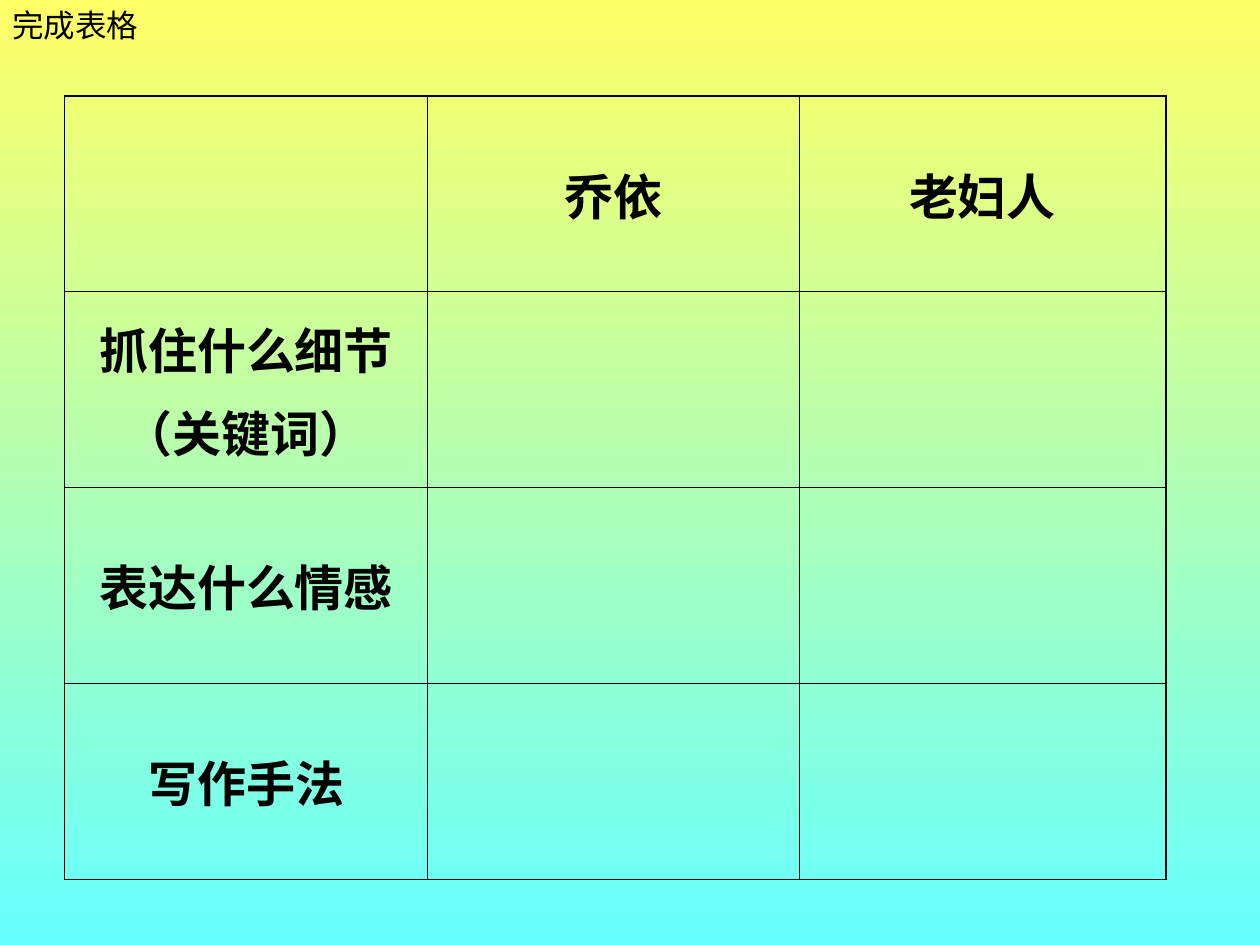
from dataclasses import dataclass

from lxml.etree import SubElement
from pptx import Presentation
from pptx.dml.color import RGBColor
from pptx.enum.text import MSO_ANCHOR, MSO_AUTO_SIZE, PP_ALIGN
from pptx.oxml.ns import qn
from pptx.table import _Cell
from pptx.text.text import TextFrame
from pptx.util import Cm, Pt

BLACK = RGBColor(0x00, 0x00, 0x00)
YELLOW = RGBColor(0xFF, 0xFF, 0x66)
CYAN = RGBColor(0x66, 0xFF, 0xFF)
FONT = "Arial"
OUTER_LINE, INNER_LINE = Pt(1.08), Pt(0.45)
COLUMN_WIDTHS = (Cm(7.32), Cm(7.49), Cm(7.39))
ROW_HEIGHT = Cm(3.95)
ROW_COUNT = 4


@dataclass(frozen=True)
class Label:
    row: int
    column: int
    text: str


LABELS = (
    Label(0, 1, "乔依"),
    Label(0, 2, "老妇人"),
    Label(1, 0, "抓住什么细节\n（关键词）"),
    Label(2, 0, "表达什么情感"),
    Label(3, 0, "写作手法"),
)


def write_text(frame: TextFrame, text: str, *, size: float, bold: bool = False,
               align: PP_ALIGN = PP_ALIGN.LEFT, gap: float = 0) -> None:
    """Write one paragraph per line, with a gap between paragraphs."""
    for index, line in enumerate(text.split("\n")):
        para = frame.add_paragraph() if index else frame.paragraphs[0]
        para.alignment = align
        if index:
            para.space_before = Pt(gap)
        span = para.add_run()
        span.text = line
        span.font.name = FONT
        span.font.size = Pt(size)
        span.font.bold = bold
        span.font.color.rgb = BLACK


def draw_borders(cell: _Cell, row: int, column: int) -> None:
    """Give the cell thin inner lines and thicker lines on the table's edge."""
    on_edge = {
        "a:lnL": column == 0,
        "a:lnR": column == len(COLUMN_WIDTHS) - 1,
        "a:lnT": row == 0,
        "a:lnB": row == ROW_COUNT - 1,
    }
    properties = cell._tc.get_or_add_tcPr()
    for tag, outer in on_edge.items():
        width = OUTER_LINE if outer else INNER_LINE
        line = SubElement(properties, qn(tag), w=str(int(width)))
        fill = SubElement(line, qn("a:solidFill"))
        SubElement(fill, qn("a:srgbClr"), val=str(BLACK))


def main() -> None:
    deck = Presentation()
    deck.slide_width, deck.slide_height = Cm(25.4), Cm(19.05)
    page = deck.slides.add_slide(deck.slide_layouts[6])

    # Background: yellow at the top to cyan at the bottom
    background = page.background.fill
    background.gradient()
    background.gradient_angle = 270
    for stop, color in zip(background.gradient_stops, (YELLOW, CYAN)):
        stop.color.rgb = color

    # Heading
    box = page.shapes.add_textbox(Cm(0), Cm(0), Cm(3.05), Cm(1.02))
    box.text_frame.word_wrap = False
    box.text_frame.auto_size = MSO_AUTO_SIZE.SHAPE_TO_FIT_TEXT
    write_text(box.text_frame, "完成表格", size=18)

    # Table grid
    table = page.shapes.add_table(
        ROW_COUNT, len(COLUMN_WIDTHS), Cm(1.3), Cm(1.93),
        sum(COLUMN_WIDTHS), ROW_HEIGHT * ROW_COUNT).table
    table.first_row = table.horz_banding = False
    for column, width in zip(table.columns, COLUMN_WIDTHS):
        column.width = width
    for row_index, row in enumerate(table.rows):
        row.height = ROW_HEIGHT
        for column_index, cell in enumerate(row.cells):
            draw_borders(cell, row_index, column_index)
            cell.fill.background()
            cell.vertical_anchor = MSO_ANCHOR.MIDDLE

    # Table headings
    for label in LABELS:
        write_text(table.cell(label.row, label.column).text_frame, label.text,
                   size=28, bold=True, align=PP_ALIGN.CENTER, gap=7)

    deck.save("out.pptx")


if __name__ == "__main__":
    main()
